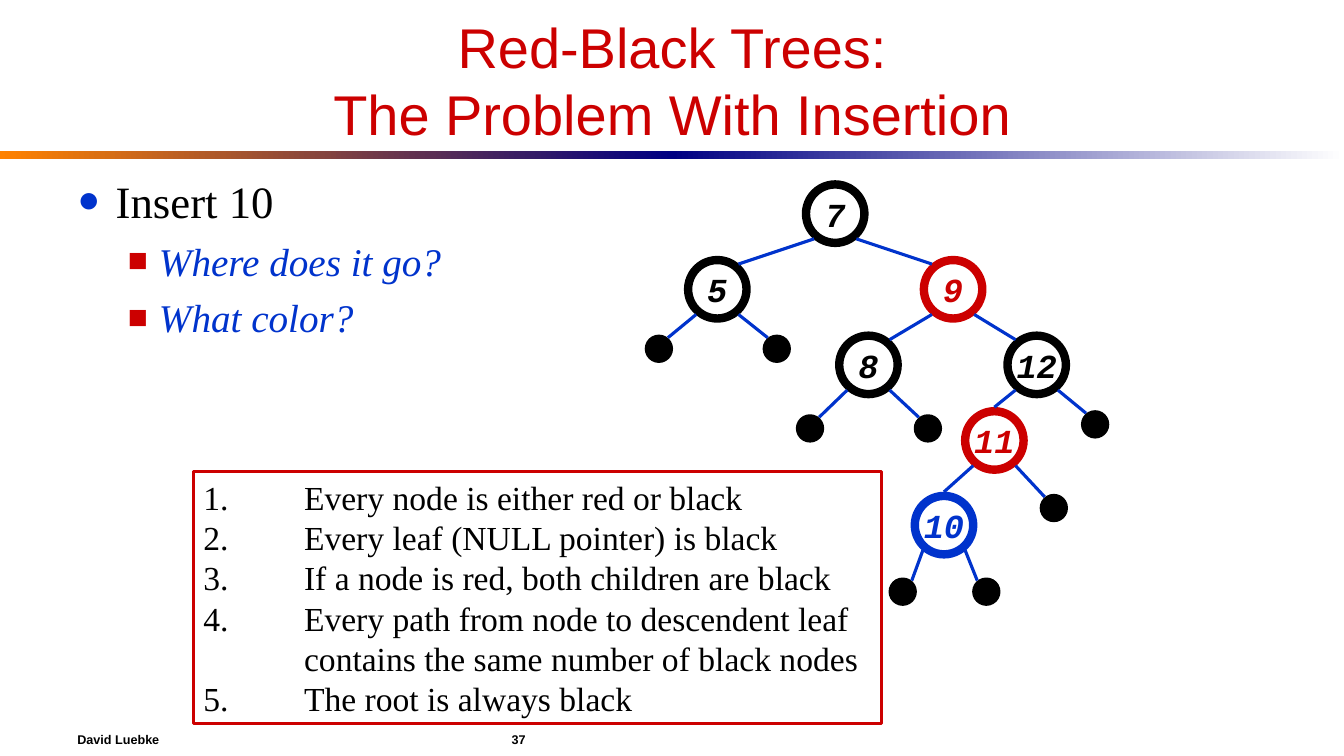
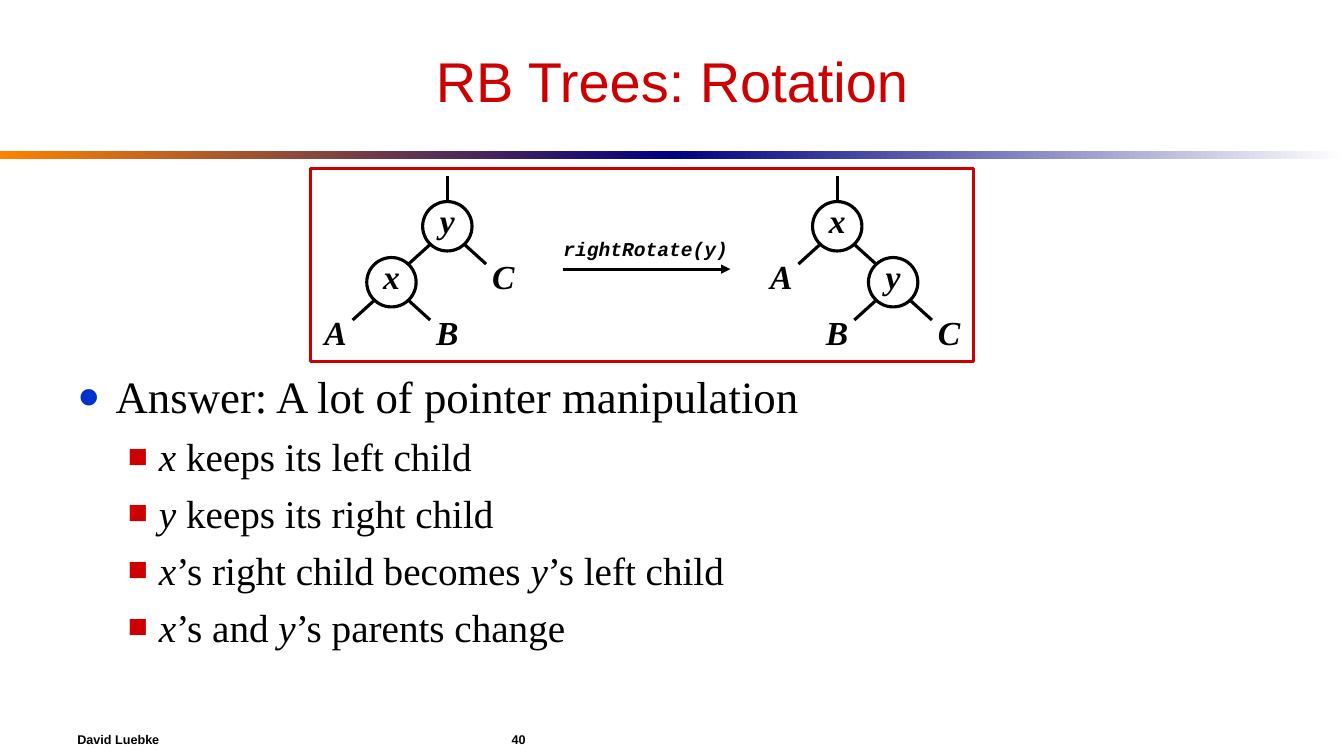
from dataclasses import dataclass
from itertools import count

from lxml.etree import SubElement
from pptx import Presentation
from pptx.dml.color import RGBColor
from pptx.enum.shapes import MSO_CONNECTOR, MSO_SHAPE
from pptx.enum.text import MSO_ANCHOR, PP_ALIGN
from pptx.oxml.ns import qn
from pptx.util import Inches, Pt


@dataclass(frozen=True)
class Theme:
    black: str = "000000"
    white: str = "FFFFFF"
    red: str = "CC0000"
    blue: str = "0033CC"
    orange: str = "FF8200"
    navy: str = "000082"
    sans: str = "Arial"
    serif: str = "Times New Roman"
    mono: str = "Courier New"
    title_size: int = 40
    body_size: int = 32
    detail_size: int = 28
    label_size: int = 24
    call_size: int = 14
    footer_size: int = 9
    line_width: float = 2.25
    ring_width: float = 6


THEME = Theme()
WIDTH, HEIGHT = 13.34, 7.5


@dataclass(frozen=True)
class NodeStyle:
    diameter: float
    fill: str
    outline: str = None
    width: float = THEME.line_width
    ink: str = THEME.black
    font: str = THEME.serif
    spacing: float = None
    join: tuple = (0.17, 0.18)
    top_join_within: float = 0


@dataclass(frozen=True)
class Node:
    x: float
    y: float
    style: NodeStyle
    label: str = ""
    children: tuple = ()


def ring_style(color):
    return NodeStyle(0.58, THEME.white, color, THEME.ring_width, color,
                     THEME.mono, join=(0.21, 0.25), top_join_within=0.6)


BLACK_RING, RED_RING, NEW_RING = map(ring_style, (THEME.black, THEME.red, THEME.blue))
LEAF = NodeStyle(0.25, THEME.black, THEME.black, join=(0.09, 0.11))
CIRCLE = NodeStyle(0.49, THEME.white, THEME.black, spacing=0.6)
SUBTREE = NodeStyle(0.49, THEME.white, spacing=0.6)


def rgb(color):
    return RGBColor.from_string(color)


def write(para, text, *, size, font=THEME.serif, color=THEME.black, bold=False,
          italic=False, align=PP_ALIGN.LEFT, before=0, spacing=None):
    para.alignment = align
    para.space_before = Pt(before)
    if spacing:
        para.line_spacing = spacing
    for index, part in enumerate(text.split("*")):
        if part:
            span = para.add_run()
            span.text = part
            span.font.name = font
            span.font.size = Pt(size)
            span.font.bold = bold
            span.font.italic = italic or index % 2 == 1
            span.font.color.rgb = rgb(color)


def set_bullet(para, margin, hanging, *, char=None, color=None):
    properties = para._p.get_or_add_pPr()
    properties.set("marL", str(Inches(margin)))
    properties.set("indent", str(-Inches(hanging)))
    if char:
        tint = SubElement(properties, qn("a:buClr"))
        SubElement(tint, qn("a:srgbClr"), val=color)
        SubElement(properties, qn("a:buSzPct"), val="85000")
        SubElement(properties, qn("a:buFont"), typeface=THEME.serif)
        SubElement(properties, qn("a:buChar"), char=char)
    else:
        SubElement(properties, qn("a:buFont"), typeface=THEME.serif)
        SubElement(properties, qn("a:buAutoNum"), type="arabicPeriod")


def add_text(page, left, top, width, height, text, *, wrap=True,
             anchor=MSO_ANCHOR.MIDDLE, **style):
    box = page.shapes.add_textbox(*map(Inches, (left, top, width, height)))
    box.text_frame.word_wrap = wrap
    box.text_frame.vertical_anchor = anchor
    write(box.text_frame.paragraphs[0], text, **style)
    return box


def add_shape(page, kind, left, top, width, height, *, fill=None, outline=None,
              weight=THEME.line_width):
    shape = page.shapes.add_shape(kind, *map(Inches, (left, top, width, height)))
    shape.shadow.inherit = False
    if fill:
        shape.fill.solid()
        shape.fill.fore_color.rgb = rgb(fill)
    else:
        shape.fill.background()
    if outline:
        shape.line.color.rgb = rgb(outline)
        shape.line.width = Pt(weight)
    else:
        shape.line.fill.background()
    return shape


def add_line(page, start, end, color=THEME.black, arrow=False):
    line = page.shapes.add_connector(
        MSO_CONNECTOR.STRAIGHT, *map(Inches, (*start, *end)))
    line.line.color.rgb = rgb(color)
    line.line.width = Pt(THEME.line_width)
    if arrow:
        SubElement(line.line._get_or_add_ln(), qn("a:tailEnd"), type="triangle")
    SubElement(line._element.spPr, qn("a:effectLst"))
    return line


def add_node(page, node):
    style = node.style
    radius = style.diameter / 2
    circle = add_shape(page, MSO_SHAPE.OVAL, node.x - radius, node.y - radius,
                       style.diameter, style.diameter, fill=style.fill,
                       outline=style.outline, weight=style.width)
    if node.label:
        frame = circle.text_frame
        frame.word_wrap = False
        frame.vertical_anchor = MSO_ANCHOR.MIDDLE
        write(frame.paragraphs[0], node.label, size=THEME.label_size, font=style.font,
              color=style.ink, bold=True, italic=True, align=PP_ALIGN.CENTER,
              spacing=style.spacing)
    return circle


def add_edge(page, parent, child, color):
    side = 1 if child.x > parent.x else -1
    out_x, out_y = parent.style.join
    in_x, in_y = child.style.join
    if abs(child.x - parent.x) < child.style.top_join_within:
        in_x, in_y = 0, child.style.diameter / 2 + 0.04
    add_line(page, (parent.x + side * out_x, parent.y + out_y),
             (child.x - side * in_x, child.y - in_y), color)


def add_tree(page, node, edge_color):
    circle = add_node(page, node)
    for child in node.children:
        add_tree(page, child, edge_color)
        add_edge(page, node, child, edge_color)
    return circle


def add_bullets(page, top, heading, details, detail_color=THEME.black, italic=False):
    box = add_text(page, 0.67, top, 12, 2.8, "", anchor=MSO_ANCHOR.TOP,
                   size=THEME.body_size)
    first = box.text_frame.paragraphs[0]
    set_bullet(first, 0.38, 0.38, char="●", color=THEME.blue)
    write(first, heading, size=THEME.body_size)
    for detail in details:
        para = box.text_frame.add_paragraph()
        set_bullet(para, 0.81, 0.31, char="■", color=THEME.red)
        write(para, detail, size=THEME.detail_size, color=detail_color,
              italic=italic, before=7)


def add_rules(page, rules):
    box = add_shape(page, MSO_SHAPE.RECTANGLE, 1.92, 4.68, 6.83, 2.5, outline=THEME.red)
    frame = box.text_frame
    frame.word_wrap = True
    frame.vertical_anchor = MSO_ANCHOR.MIDDLE
    for index, rule in enumerate(rules):
        para = frame.add_paragraph() if index else frame.paragraphs[0]
        set_bullet(para, 1, 1)
        write(para, rule, size=THEME.label_size)


def add_page(deck, title, number):
    page = deck.slides.add_slide(deck.slide_layouts[5])
    half = WIDTH / 2
    for left, colors in ((0, (THEME.orange, THEME.navy)),
                         (half, (THEME.navy, THEME.white))):
        band = add_shape(page, MSO_SHAPE.RECTANGLE, left, 1.5, half, 0.08)
        band.fill.gradient()
        band.fill.gradient_angle = 0
        for stop, color in zip(band.fill.gradient_stops, colors):
            stop.color.rgb = rgb(color)
    heading = page.shapes.title
    heading.left, heading.top, heading.width, heading.height = map(
        Inches, (0.67, 0.25, 12, 1.08))
    frame = heading.text_frame
    frame.vertical_anchor = MSO_ANCHOR.MIDDLE
    for index, text in enumerate(title.split("\n")):
        para = frame.add_paragraph() if index else frame.paragraphs[0]
        write(para, text, size=THEME.title_size, font=THEME.sans, color=THEME.red,
              align=PP_ALIGN.CENTER)
    for left, text in ((0.67, "David Luebke"), (4.98, str(number))):
        add_text(page, left, 7.17, 2, 0.33, text, size=THEME.footer_size,
                 font=THEME.sans, bold=True)
    return page


def add_insertion_page(deck):
    page = add_page(deck, "Red-Black Trees:\nThe Problem With Insertion", 37)
    add_bullets(page, 1.67, "Insert 10", ("Where does it go?", "What color?"),
                THEME.blue, italic=True)
    add_rules(page, ("Every node is either red or black",
                     "Every leaf (NULL pointer) is black",
                     "If a node is red, both children are black",
                     "Every path from node to descendent leaf "
                     "contains the same number of black nodes",
                     "The root is always black"))
    five = Node(7.12, 2.87, BLACK_RING, "5",
                (Node(6.54, 3.46, LEAF), Node(7.71, 3.46, LEAF)))
    eight = Node(8.62, 3.62, BLACK_RING, "8",
                 (Node(8.04, 4.25, LEAF), Node(9.21, 4.25, LEAF)))
    ten = Node(9.37, 5.21, NEW_RING, "10",
               (Node(8.96, 5.87, LEAF), Node(9.79, 5.87, LEAF)))
    eleven = Node(9.87, 4.37, RED_RING, "11", (ten, Node(10.46, 5.04, LEAF)))
    twelve = Node(10.29, 3.62, BLACK_RING, "12", (eleven, Node(10.87, 4.21, LEAF)))
    nine = Node(9.46, 2.87, RED_RING, "9", (eight, twelve))
    add_tree(page, Node(8.29, 2.12, BLACK_RING, "7", (five, nine)), THEME.blue)


def rotation_tree(x, labels, inner_side):
    root_label, inner_label, outer_label, left_label, right_label = labels
    step = 0.555
    levels = count(2.245, step)
    root_y, child_y, leaf_y = (next(levels) for _ in range(3))
    inner_x = x + inner_side * step
    inner = Node(inner_x, child_y, CIRCLE, inner_label,
                 (Node(inner_x - step, leaf_y, SUBTREE, left_label),
                  Node(inner_x + step, leaf_y, SUBTREE, right_label)))
    outer = Node(x - inner_side * step, child_y, SUBTREE, outer_label)
    return Node(x, root_y, CIRCLE, root_label, (inner, outer))


def add_rotation_page(deck):
    page = add_page(deck, "RB Trees: Rotation", 40)
    add_bullets(page, 3.61, "Answer: A lot of pointer manipulation",
                ("*x* keeps its left child", "*y* keeps its right child",
                 "*x*’s right child becomes *y*’s left child",
                 "*x*’s and *y*’s parents change"))
    for x, labels, inner_side in ((4.44, "yxCAB", -1), (8.31, "xyABC", 1)):
        root = add_tree(page, rotation_tree(x, labels, inner_side), THEME.black)
        add_line(page, (x, 2), (x, 1.75)).begin_connect(root, 0)
    add_text(page, 5.49, 2.3, 1.84, 0.34, "rightRotate(y)", wrap=False,
             size=THEME.call_size, font=THEME.mono, bold=True, italic=True,
             align=PP_ALIGN.CENTER)
    add_line(page, (5.59, 2.67), (7.25, 2.67), arrow=True)
    add_shape(page, MSO_SHAPE.RECTANGLE, 3.08, 1.67, 6.58, 1.92, outline=THEME.red)


def main():
    deck = Presentation()
    deck.slide_width, deck.slide_height = Inches(WIDTH), Inches(HEIGHT)
    add_insertion_page(deck)
    add_rotation_page(deck)
    deck.save("out.pptx")


if __name__ == "__main__":
    main()
